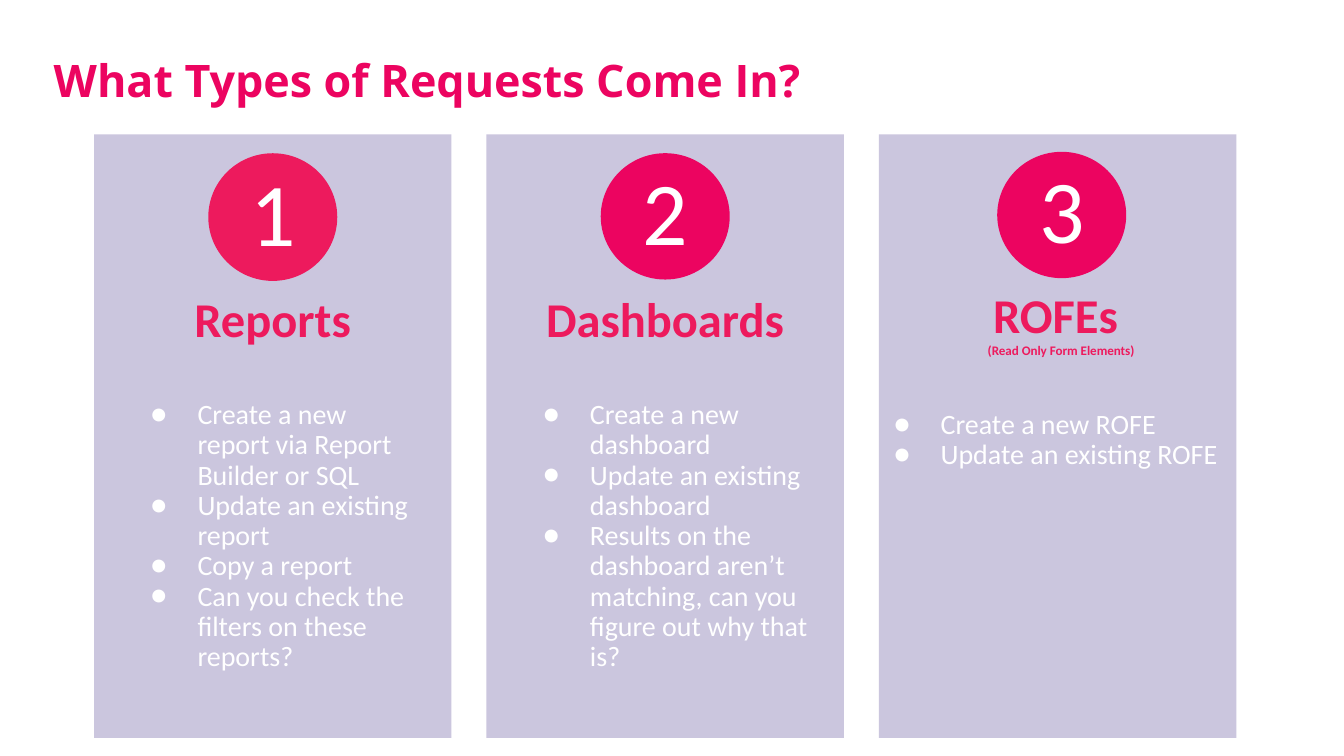
from dataclasses import dataclass

from lxml.etree import SubElement
from pptx import Presentation
from pptx.dml.color import RGBColor
from pptx.enum.shapes import MSO_SHAPE as Preset
from pptx.enum.text import MSO_ANCHOR as Anchor, PP_ALIGN as Align
from pptx.oxml.ns import qn
from pptx.util import Inches, Pt

LILAC, PINK, ROSE, WHITE = "CBC6DE", "EC0460", "ED1A5D", "FFFFFF"
PANEL_LEFT, PANEL_STEP, PANEL_WIDTH = 0.7, 2.92, 2.66
PANEL_TOP, PANEL_HEIGHT = 1, 4.49
LINE_SPACING = 0.9
BULLET_GAP = 28
TASK_SIZE = 15


@dataclass(frozen=True)
class Badge:
    left: float
    top: float
    height: float
    color: str


@dataclass(frozen=True)
class Copy:
    left: float
    top: float
    width: float
    height: float
    inset_x: float
    inset_y: float


@dataclass(frozen=True)
class RequestType:
    heading: str
    tasks: tuple[str, ...]
    badge: Badge
    copy: Copy
    subtitle: str = ""


REQUEST_TYPES = (
    RequestType(
        "Reports",
        (
            "Create a new report via Report Builder or SQL",
            "Update an existing report",
            "Copy a report",
            "Can you check the filters on these reports?",
        ),
        Badge(1.55, 1.14, 0.95, ROSE),
        Copy(0.7, 1.84, 2.66, 3.25, 0.27, 0.36),
    ),
    RequestType(
        "Dashboards",
        (
            "Create a new dashboard",
            "Update an existing dashboard",
            "Results on the dashboard aren’t matching, can you figure out why that is?",
        ),
        Badge(4.47, 1.14, 0.94, PINK),
        Copy(3.62, 1.84, 2.66, 3.65, 0.27, 0.36),
    ),
    RequestType(
        "ROFEs ",
        ("Create a new ROFE", "Update an existing ROFE"),
        Badge(7.42, 1.13, 0.94, PINK),
        Copy(6.4, 2.07, 2.99, 1.94, 0.1, 0.1),
        "(Read Only Form Elements)",
    ),
)


def rgb(color: str) -> RGBColor:
    return RGBColor.from_string(color)


def style(paragraph, size: float, color: str, bold: bool = False, font: str = "Calibri") -> None:
    for run in paragraph.runs:
        run.font.name = font
        run.font.size = Pt(size)
        run.font.bold = bold
        run.font.color.rgb = rgb(color)


def set_insets(frame, x: float, y: float) -> None:
    frame.word_wrap = True
    frame.margin_left = frame.margin_right = Inches(x)
    frame.margin_top = frame.margin_bottom = Inches(y)


def add_bullet(paragraph) -> None:
    properties = paragraph._p.get_or_add_pPr()
    properties.set("marL", str(Inches(0.5)))
    properties.set("indent", str(Inches(-0.35)))
    bullet_color = SubElement(properties, qn("a:buClr"))
    SubElement(bullet_color, qn("a:srgbClr"), val=WHITE)
    SubElement(properties, qn("a:buSzPts"), val=str(TASK_SIZE * 100))
    SubElement(properties, qn("a:buFont"), typeface="Calibri")
    SubElement(properties, qn("a:buChar"), char="●")


def draw_filled(slide, preset: Preset, left: float, top: float,
                width: float, height: float, color: str):
    shape = slide.shapes.add_shape(
        preset, Inches(left), Inches(top), Inches(width), Inches(height))
    shape.shadow.inherit = False
    shape.fill.solid()
    shape.fill.fore_color.rgb = rgb(color)
    shape.line.fill.background()
    return shape


def draw_title(slide, title: str) -> None:
    heading = slide.shapes.add_textbox(Inches(0.4), Inches(0.39), Inches(9.2), Inches(0.4))
    set_insets(heading.text_frame, 0, 0)
    heading.text_frame.text = title
    style(heading.text_frame.paragraphs[0], 24, PINK, True, "Open Sans")


def draw_badge(slide, number: int, badge: Badge) -> None:
    circle = draw_filled(
        slide, Preset.OVAL, badge.left, badge.top, 0.96, badge.height, badge.color)
    frame = circle.text_frame
    set_insets(frame, 0.1, 0.1)
    frame.vertical_anchor = Anchor.MIDDLE
    frame.text = str(number)
    digit = frame.paragraphs[0]
    digit.alignment = Align.CENTER
    digit.line_spacing = LINE_SPACING
    style(digit, 48, WHITE)


def draw_copy(slide, request: RequestType) -> None:
    area = request.copy
    box = slide.shapes.add_textbox(
        Inches(area.left), Inches(area.top), Inches(area.width), Inches(area.height))
    frame = box.text_frame
    set_insets(frame, area.inset_x, area.inset_y)
    headings = [text for text in (request.heading, request.subtitle) if text]
    frame.text = "\n".join([*headings, *request.tasks])
    for index, paragraph in enumerate(frame.paragraphs):
        if index < len(headings):
            paragraph.alignment = Align.CENTER
            style(paragraph, 7 if index else 26, ROSE, True)
        else:
            add_bullet(paragraph)
            paragraph.alignment = Align.LEFT
            if index == len(headings):
                paragraph.space_before = Pt(BULLET_GAP)
            style(paragraph, TASK_SIZE, WHITE)
        paragraph.line_spacing = LINE_SPACING


def main() -> None:
    deck = Presentation()
    deck.slide_width = Inches(10)
    deck.slide_height = deck.slide_width * 9 // 16
    slide = deck.slides.add_slide(deck.slide_layouts[6])
    draw_title(slide, "What Types of Requests Come In?")
    for index, request in enumerate(REQUEST_TYPES):
        draw_filled(slide, Preset.RECTANGLE, PANEL_LEFT + index * PANEL_STEP,
                    PANEL_TOP, PANEL_WIDTH, PANEL_HEIGHT, LILAC)
        draw_badge(slide, index + 1, request.badge)
        draw_copy(slide, request)
    deck.save("out.pptx")


if __name__ == "__main__":
    main()
